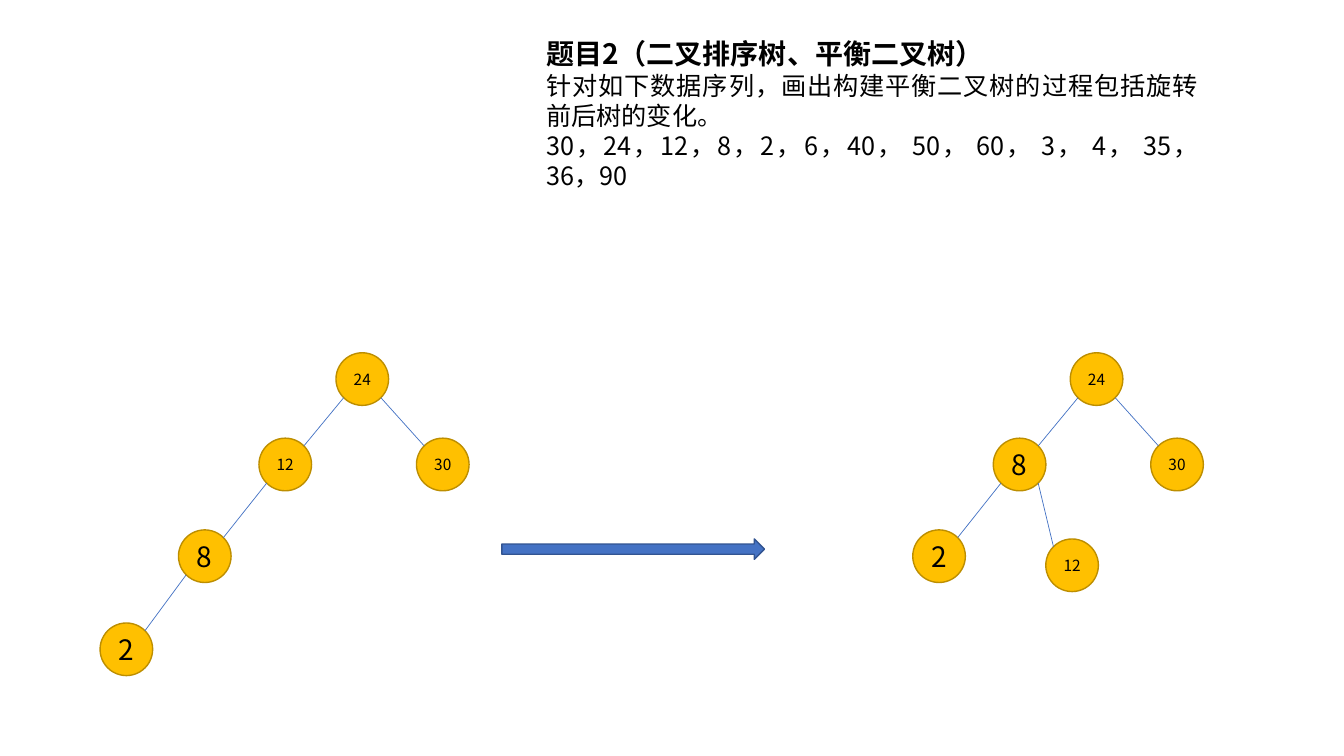
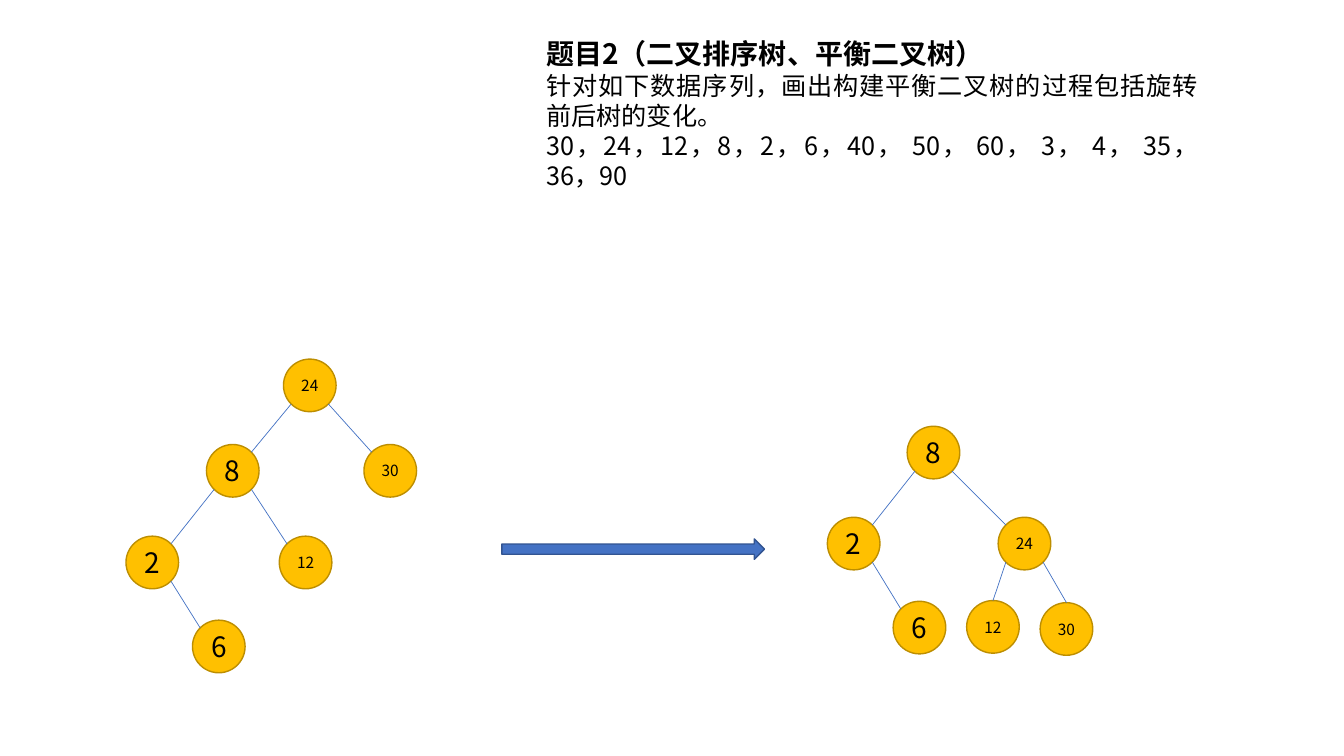
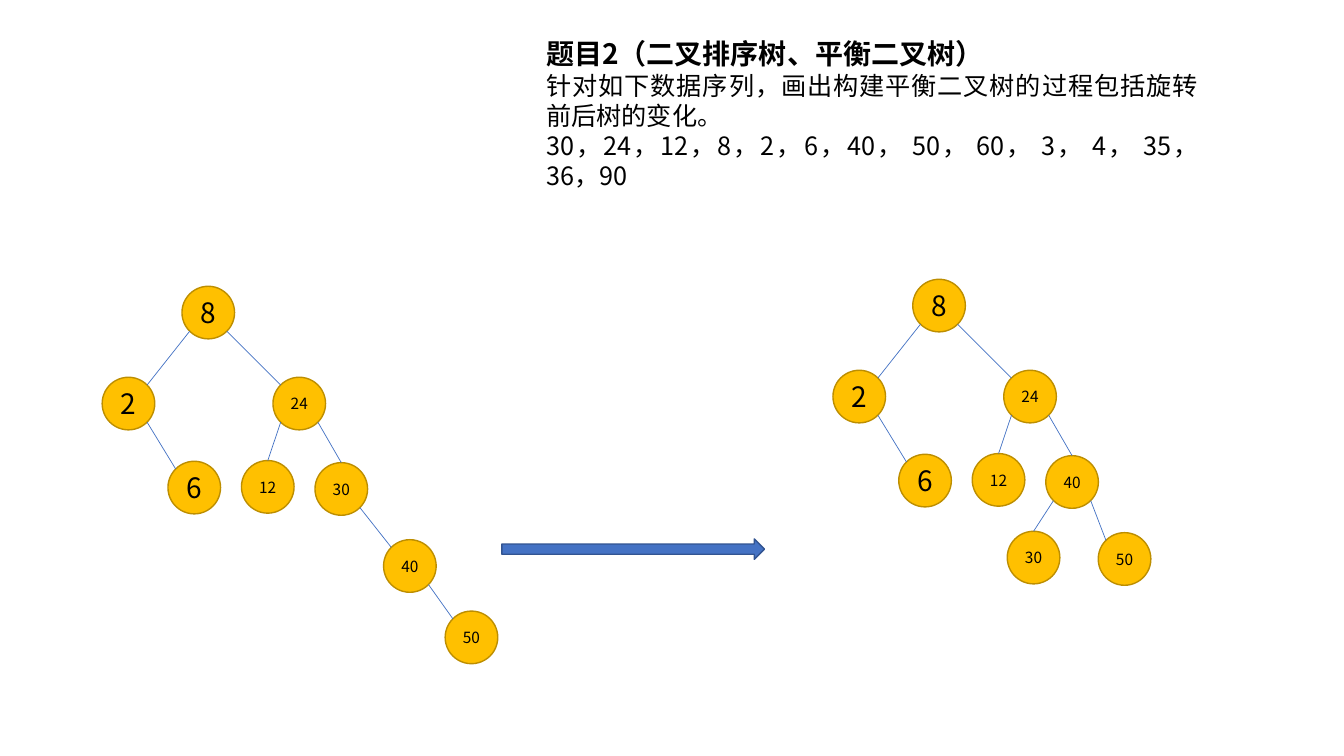
import dataclasses

import lxml.etree
import pptx
import pptx.dml.color
import pptx.enum.lang
import pptx.enum.shapes
import pptx.enum.text
import pptx.oxml.ns
import pptx.util

Pt = pptx.util.Pt
Kind = pptx.enum.shapes.MSO_SHAPE
Align = pptx.enum.text.PP_ALIGN
qn = pptx.oxml.ns.qn


@dataclasses.dataclass(frozen=True)
class Theme:
    font: str = "Noto Sans CJK SC"
    ink: str = "000000"
    gold: str = "FFC000"
    rim: str = "BD8E00"
    blue: str = "4472C4"
    navy: str = "325491"
    title: float = 20
    body: float = 18
    large: float = 20
    small: float = 11
    edge: float = 0.5
    border: float = 1


THEME = Theme()
SIZE = 37.6
NEAR = 35
CORNER = 0.5 * (1 - 0.5 ** 0.5)

TASK = [
    ("题目2（二叉排序树、平衡二叉树）", THEME.title, True),
    ("针对如下数据序列，画出构建平衡二叉树的过程包括旋转前后树的变化。", THEME.body, False),
    ("30，24，12，8，2，6，40， 50， 60， 3， 4， 35， 36，90", THEME.body, False),
]

# Keys spell the way down from the root: l for left, r for right.
LEFT = {
    "": (0, 0), "l": (-55, 61), "r": (57.5, 61), "ll": (-112.5, 126.5),
    "lr": (-3, 126.5), "lll": (-168.5, 193), "llr": (-65, 186.5),
}
FULL = {
    "": (0, 0), "l": (-57, 65), "r": (65, 65), "lr": (-10, 125),
    "rl": (42.5, 124.5), "rr": (95, 126), "rrl": (67.5, 180),
    "rrr": (132.5, 181), "rrrr": (188, 232),
}
STEPS = [
    [
        (240, 252, LEFT, {"": 24, "l": 12, "r": 30, "ll": 8, "lll": 2}),
        (764.5, 252, LEFT | {"lr": (-17.5, 133)},
         {"": 24, "l": 8, "r": 30, "ll": 2, "lr": 12}),
    ],
    [
        (202.5, 256.5, LEFT,
         {"": 24, "l": 8, "r": 30, "ll": 2, "lr": 12, "llr": 6}),
        (648, 304.5, FULL,
         {"": 8, "l": 2, "r": 24, "lr": 6, "rl": 12, "rr": 30}),
    ],
    [
        (130, 204.5, FULL | {"rrr": (144, 181)},
         {"": 8, "l": 2, "r": 24, "lr": 6, "rl": 12, "rr": 30,
          "rrr": 40, "rrrr": 50}),
        (652, 199.5, FULL,
         {"": 8, "l": 2, "r": 24, "lr": 6, "rl": 12, "rr": 40,
          "rrl": 30, "rrr": 50}),
    ],
]


def color(code):
    return pptx.dml.color.RGBColor.from_string(code)


def write(para, text, size, align, bold=False):
    para.text = text
    para.alignment = align
    font = para.font
    font.size = Pt(size)
    font.bold = bold
    font.name = THEME.font
    font.color.rgb = color(THEME.ink)
    font.language_id = pptx.enum.lang.MSO_LANGUAGE_ID.SIMPLIFIED_CHINESE
    latin = para._p.pPr.find(qn("a:defRPr")).find(qn("a:latin"))
    east = lxml.etree.Element(qn("a:ea"), typeface=THEME.font)
    latin.addnext(east)


def shape(slide, kind, box, fill, line):
    item = slide.shapes.add_shape(kind, *map(Pt, box))
    item.shadow.inherit = False
    item.fill.solid()
    item.fill.fore_color.rgb = color(fill)
    item.line.color.rgb = color(line)
    item.line.width = Pt(THEME.border)
    return item


def task(slide):
    frame = slide.shapes.add_textbox(Pt(383), Pt(22.5), Pt(480), Pt(119)).text_frame
    frame.word_wrap = True
    for i, (text, size, bold) in enumerate(TASK):
        para = frame.add_paragraph() if i else frame.paragraphs[0]
        write(para, text, size, Align.JUSTIFY, bold)


def node(slide, value, left, top):
    item = shape(slide, Kind.OVAL, (left, top, SIZE, SIZE), THEME.gold, THEME.rim)
    frame = item.text_frame
    frame.word_wrap = False
    frame.vertical_anchor = pptx.enum.text.MSO_ANCHOR.MIDDLE
    frame.margin_left = frame.margin_right = 0
    size = THEME.large if value < 10 else THEME.small
    write(frame.paragraphs[0], str(value), size, Align.CENTER)
    return item


def edge(slide, upper, lower, side):
    inset = round(upper.width * CORNER)
    far = upper.width - inset
    out, back = (inset, far) if side == "l" else (far, inset)
    line = slide.shapes.add_connector(
        pptx.enum.shapes.MSO_CONNECTOR.STRAIGHT,
        upper.left + out, upper.top + far, lower.left + back, lower.top + inset)
    if abs(lower.left - upper.left) < Pt(NEAR):
        line.end_connect(lower, 0)
    line.line.color.rgb = color(THEME.blue)
    line.line.width = Pt(THEME.edge)
    lxml.etree.SubElement(line._element.spPr, qn("a:effectLst"))


def tree(slide, left, top, slots, values):
    nodes = {}
    for way, value in values.items():
        x, y = slots[way]
        nodes[way] = node(slide, value, left + x, top + y)
        if way:
            edge(slide, nodes[way[:-1]], nodes[way], way[-1])


def main():
    deck = pptx.Presentation()
    deck.slide_width, deck.slide_height = Pt(960), Pt(540)
    for step in STEPS:
        slide = deck.slides.add_slide(deck.slide_layouts[6])
        task(slide)
        for args in step:
            tree(slide, *args)
        shape(slide, Kind.RIGHT_ARROW, (358.5, 385, 187.5, 14.5),
              THEME.blue, THEME.navy)
    deck.save("out.pptx")


if __name__ == "__main__":
    main()
